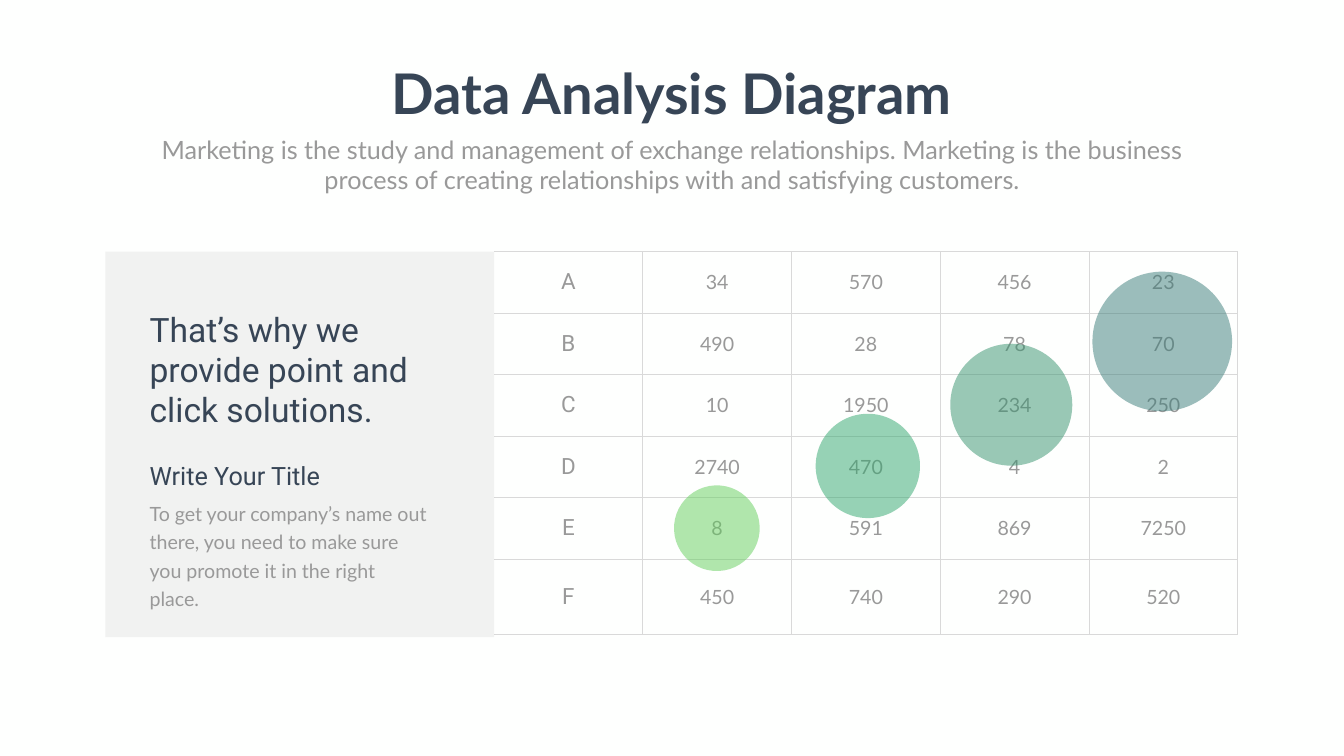
"""Build the Data Analysis Diagram slide."""
from lxml.etree import SubElement
from pptx import Presentation
from pptx.dml.color import RGBColor
from pptx.enum.shapes import MSO_SHAPE as SHAPE
from pptx.enum.text import MSO_ANCHOR as ANCHOR, PP_ALIGN as ALIGN
from pptx.oxml.ns import qn
from pptx.util import Inches, Pt


def rgb(value):
    return RGBColor.from_string(value)


def add_solid(kind, box, color, opacity):
    sp = s.shapes.add_shape(kind, *map(Inches, box))
    sp.shadow.inherit = False
    sp.fill.solid()
    sp.fill.fore_color.rgb = rgb(color)
    sp.line.fill.background()
    clr = sp.fill._xPr.find(qn("a:solidFill"))[0]
    SubElement(clr, qn("a:alpha"), val=str(opacity * 1000))
    return sp


NAVY, GRAY, BORDER = "374556", "999999", "D9D9D9"

prs = Presentation()
prs.slide_width, prs.slide_height = Inches(26.66), Inches(15)
s = prs.slides.add_slide(prs.slide_layouts[6])
s.background.fill.solid()
s.background.fill.fore_color.rgb = rgb("FEFFFE")

rows = [
    ("A", 34, 570, 456, 23),
    ("B", 490, 28, 78, 70),
    ("C", 10, 1950, 234, 250),
    ("D", 2740, 470, 4, 2),
    ("E", 8, 591, 869, 7250),
    ("F", 450, 740, 290, 520),
]
heights = [1.22] * 5 + [1.5]
table = s.shapes.add_table(6, 5, Inches(9.8), Inches(4.99), Inches(14.75), Inches(7.6)).table
table.first_row = table.horz_banding = False
for col in table.columns:
    col.width = Inches(2.95)
for i, (values, height) in enumerate(zip(rows, heights)):
    table.rows[i].height = Inches(height)
    for j, value in enumerate(values):
        cell = table.cell(i, j)
        cell.vertical_anchor = ANCHOR.MIDDLE
        cell.margin_left = cell.margin_right = Inches(0.14)
        cell.margin_top = cell.margin_bottom = Inches(0.07)
        tcPr = cell._tc.get_or_add_tcPr()
        for side in "LRTB":
            ln = SubElement(tcPr, qn(f"a:ln{side}"), w=str(Pt(1)))
            if side == "L" and j == 0:
                SubElement(ln, qn("a:noFill"))
            else:
                fill = SubElement(ln, qn("a:solidFill"))
                SubElement(fill, qn("a:srgbClr"), val=BORDER)
        cell.fill.background()
        p = cell.text_frame.paragraphs[0]
        p.alignment = ALIGN.CENTER
        r = p.add_run()
        r.text = str(value)
        r.font.name, r.font.size = ("Roboto", Pt(32)) if j == 0 else ("Lato", Pt(28))
        r.font.color.rgb = rgb(GRAY)

add_solid(SHAPE.RECTANGLE, (2.09, 4.99, 7.71, 7.65), "808080", 10)

bubbles = [
    (18.85, 6.82, 2.42, "36936E"),
    (16.18, 8.21, 2.07, "30A76D"),
    (13.37, 9.63, 1.7, "63CF5C"),
    (21.67, 5.39, 2.77, "3A7C79"),
]
for left, top, size, color in bubbles:
    sp = add_solid(SHAPE.OVAL, (left, top, size, size), color, 50)
    sp.rotation = 4.9

body = {"name": "Lato", "color": GRAY}
heading = {"name": "Roboto", "color": NAVY}
texts = [
    ("To get your company’s name out there, you need to make sure you promote it in the right place.",
     (2.87, 9.8, 5.73, 1.77), {"size": Pt(28), **body}, {"line_spacing": Pt(40.8)}),
    ("Write Your Title", (2.87, 9.09, 5.73, 0.71), {"size": Pt(36), **heading}, {}),
    ("That’s why we provide point and click solutions.",
     (2.87, 6.07, 6.14, 2.52), {"size": Pt(48), **heading}, {}),
    ("Data Analysis Diagram", (7.53, 1.12, 11.59, 1.45),
     {"size": Pt(80), "bold": True, "name": "Lato", "color": NAVY}, {"alignment": ALIGN.CENTER}),
    ("Marketing is the study and management of exchange relationships. Marketing is the business "
     "process of creating relationships with and satisfying customers.",
     (2.92, 2.61, 20.82, 1.31), {"size": Pt(36), **body}, {"alignment": ALIGN.CENTER}),
]
for text, box, font, layout in texts:
    tf = s.shapes.add_textbox(*map(Inches, box)).text_frame
    tf.word_wrap = True
    p = tf.paragraphs[0]
    for name, value in layout.items():
        setattr(p, name, value)
    r = p.add_run()
    r.text = text
    for name, value in font.items():
        if name == "color":
            r.font.color.rgb = rgb(value)
        else:
            setattr(r.font, name, value)

prs.save("out.pptx")
